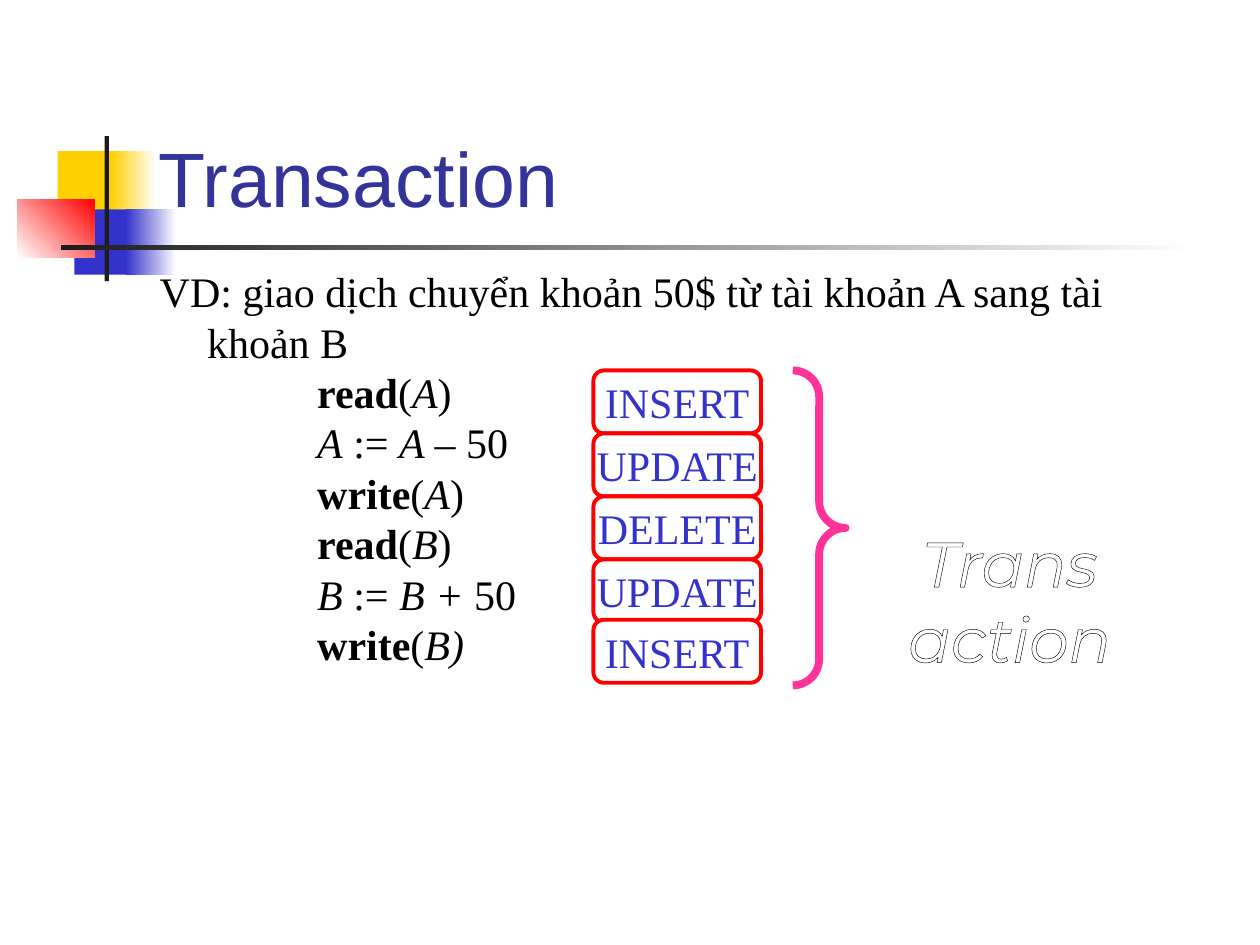
from pptx import Presentation
from pptx.dml.color import RGBColor
from pptx.enum.shapes import MSO_SHAPE
from pptx.enum.text import MSO_ANCHOR, PP_ALIGN
from pptx.oxml import parse_xml
from pptx.oxml.ns import nsdecls
from pptx.util import Pt

RECT, ROUNDED, BRACE = MSO_SHAPE.RECTANGLE, MSO_SHAPE.ROUNDED_RECTANGLE, MSO_SHAPE.RIGHT_BRACE
TOP, MIDDLE, BOTTOM = MSO_ANCHOR.TOP, MSO_ANCHOR.MIDDLE, MSO_ANCHOR.BOTTOM
LEFT, CENTER = PP_ALIGN.LEFT, PP_ALIGN.CENTER

WHITE = RGBColor(0xFF, 0xFF, 0xFF)
BLACK = RGBColor(0x00, 0x00, 0x00)
CHARCOAL = RGBColor(0x1C, 0x1C, 0x1C)
YELLOW = RGBColor(0xFF, 0xCF, 0x01)
BLUE = RGBColor(0x33, 0x33, 0xCC)
NAVY = RGBColor(0x33, 0x33, 0x99)
RED = RGBColor(0xFF, 0x00, 0x00)
PINK = RGBColor(0xFF, 0x33, 0x99)

PLAIN, BOLD, ITALIC = "plain", "bold", "italic"


class SlideBuilder:
    serif = "Times New Roman"
    body_size = 24

    def __init__(self, slide):
        self.slide = slide

    def shape(self, kind, box, fill=None, line=None, line_width=1):
        shape = self.slide.shapes.add_shape(kind, *map(Pt, box))
        shape.shadow.inherit = False
        if fill is None:
            shape.fill.background()
        else:
            shape.fill.solid()
            shape.fill.fore_color.rgb = fill
        if line is None:
            shape.line.fill.background()
        else:
            shape.line.color.rgb = line
            shape.line.width = Pt(line_width)
        return shape

    def fade(self, box, start, end, angle=0):
        fill = self.shape(RECT, box).fill
        fill.gradient()
        fill.gradient_angle = angle
        for stop, color in zip(fill.gradient_stops, (start, end)):
            stop.color.rgb = color

    def run(self, paragraph, text, color, style=PLAIN, font=serif, size=body_size):
        run = paragraph.add_run()
        run.text = text
        run.font.name = font
        run.font.size = Pt(size)
        run.font.color.rgb = color
        run.font.bold = style == BOLD
        run.font.italic = style == ITALIC
        return run

    def text_frame(self, box, anchor=TOP, wrap=True):
        frame = self.slide.shapes.add_textbox(*map(Pt, box)).text_frame
        frame.word_wrap = wrap
        frame.vertical_anchor = anchor
        return frame

    def label(self, box, text):
        shape = self.shape(ROUNDED, box, WHITE, RED, 2.25)
        shape.adjustments[0] = 0.167
        frame = shape.text_frame
        frame.word_wrap = False
        frame.vertical_anchor = MIDDLE
        paragraph = frame.paragraphs[0]
        paragraph.alignment = CENTER
        self.run(paragraph, text, BLUE)

    def brace(self, box):
        brace = self.shape(BRACE, box, line=PINK, line_width=4.5)
        brace.adjustments[0] = 0.5
        brace.adjustments[1] = 0.5

    def outlined_text(self, box, text, font, size):
        paragraph = self.text_frame(box, wrap=False).paragraphs[0]
        paragraph.alignment = CENTER
        run = self.run(paragraph, text, WHITE, ITALIC, font, size)
        outline = parse_xml(
            f'<a:ln {nsdecls("a")} w="{Pt(0.75)}"><a:solidFill>'
            f'<a:srgbClr val="{BLACK}"/></a:solidFill></a:ln>'
        )
        run.font._element.insert(0, outline)

    def paragraph(self, paragraph, runs, margin, indent=0):
        paragraph.alignment = LEFT
        properties = paragraph._p.get_or_add_pPr()
        properties.set("marL", str(Pt(margin)))
        properties.set("indent", str(Pt(indent)))
        for text, style in runs:
            self.run(paragraph, text, BLACK, style)


def call(operation, account):
    return [(operation, BOLD), ("(", PLAIN), (account, ITALIC), (")", PLAIN)]


def assignment(account, sign):
    return [(account, ITALIC), (" := ", PLAIN), (f"{account} {sign} ", ITALIC), ("50", PLAIN)]


def main():
    presentation = Presentation()
    presentation.slide_width = Pt(720)
    presentation.slide_height = Pt(540)
    builder = SlideBuilder(presentation.slides.add_slide(presentation.slide_layouts[6]))

    builder.shape(RECT, (33, 86.4, 34.6, 37.4), YELLOW)
    builder.fade((63.3, 86.4, 26, 37.4), YELLOW, WHITE)
    builder.shape(RECT, (42.5, 119.6, 33.1, 37.4), BLUE)
    builder.fade((72, 119.6, 28.8, 37.4), BLUE, WHITE)
    builder.fade((10, 113.8, 44, 33.2), WHITE, RED, 45)
    builder.shape(RECT, (59.8, 77.8, 2.4, 82.8), CHARCOAL)
    builder.fade((34.6, 140.2, 648, 2.4), CHARCOAL, WHITE)

    title = builder.text_frame((83.5, 41, 613.4, 90), BOTTOM)
    builder.run(title.paragraphs[0], "Transaction", NAVY, font="Arial", size=44)

    statements = ("INSERT", "UPDATE", "DELETE", "UPDATE", "INSERT")
    statement_tops = (211.7, 247.7, 283.7, 319.7, 354.2)
    for statement, top in zip(statements, statement_tops):
        builder.label((339.1, top, 95.8, 36), statement)

    builder.brace((453, 211.7, 30.2, 180))
    builder.outlined_text((509, 295.9, 136.1, 27.4), "Transaction", "Montserrat", 36)

    example = builder.text_frame((84.2, 148.3, 606.2, 126))
    intro = "VD: giao dịch chuyển khoản 50$ từ tài khoản A sang tài khoản B"
    builder.paragraph(example.paragraphs[0], [(intro, PLAIN)], 27, -27)
    steps = (
        call("read", "A"),
        assignment("A", "–"),
        call("write", "A"),
        call("read", "B"),
        assignment("B", "+"),
        [("write", BOLD), ("(", PLAIN), ("B)", ITALIC)],
    )
    for step in steps:
        builder.paragraph(example.add_paragraph(), step, 90)

    presentation.save("out.pptx")


if __name__ == "__main__":
    main()
